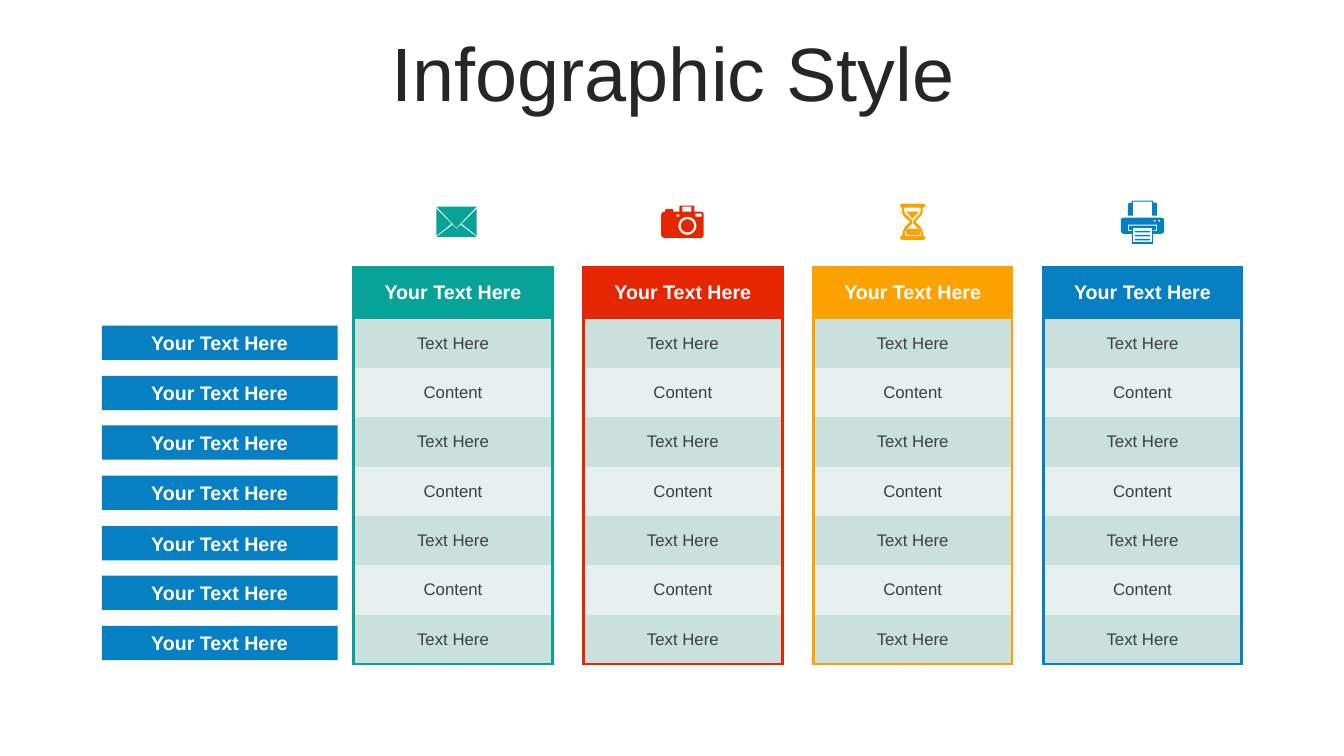
from dataclasses import dataclass

from lxml import etree
from pptx import Presentation
from pptx import util as u
from pptx.dml.color import RGBColor
from pptx.enum import shapes, text
from pptx.oxml.ns import qn

PX = 9144  # EMU per px, 100 px to the inch
NO_STYLE = "{2D5ABB26-0587-4C30-8999-92F81FD0307C}"


@dataclass(frozen=True)
class Theme:
    font: str = "Arial"
    title: str = "262626"
    body: str = "3F3F3F"
    white: str = "FFFFFF"
    teal: str = "07A398"
    red: str = "E62601"
    amber: str = "FBA200"
    blue: str = "0680C3"
    bands: tuple = ("CAE0DD", "E6F0EF")
    title_size: int = 54
    head_size: int = 14
    body_size: int = 12
    border: float = 2.25


THEME = Theme()
BAND_WORDS = ("Text Here", "Content")
BAND_COUNT = 7
HEAD_HEIGHT, BAND_HEIGHT = 51, 49
TABLE_LEFT, TABLE_TOP, TABLE_WIDTH, TABLE_PITCH = 351, 265, 197, 228
LABEL_LEFT, LABEL_TOP, LABEL_WIDTH, LABEL_HEIGHT = 101, 323, 234, 34
LABEL_SPAN = 298  # from the first label's top to the last one's


def px(value):
    return u.Emu(round(value * PX))


def rect(left, top, right, bottom):
    return [(left, top), (right, top), (right, bottom), (left, bottom)]


def circle(x, y, r):
    k = r * 0.55
    return [(x, y - r),
            (x + k, y - r, x + r, y - k, x + r, y),
            (x + r, y + k, x + k, y + r, x, y + r),
            (x - k, y + r, x - r, y + k, x - r, y),
            (x - r, y - k, x - k, y - r, x, y - r)]


# Icon contours: a pair is a corner, six numbers are a cubic curve.
ENVELOPE = [
    [(457, 223), (473, 235), (433, 235), (449, 223), (453, 227)],
    [(473, 207), (473, 234), (458, 222)],
    [(433, 207), (448, 222), (433, 234)],
    [(433, 205), (473, 205), (453, 226)],
]
CAMERA = [
    circle(682, 224, 6.5),
    circle(682, 224, 9),
    rect(671, 213, 674, 215),
    rect(690, 212, 696, 215),
    rect(677, 205, 686, 210),
    [(675, 204), (688, 204), (689, 205), (689, 210), (695, 210),
     (697, 210, 698, 211, 698, 213), (698, 233),
     (698, 235, 697, 236, 695, 236), (660, 236),
     (658, 236, 656, 235, 656, 233), (656, 213),
     (656, 211, 658, 210, 660, 210), (660, 208), (661, 207.5),
     (667, 207.5), (668, 208), (668, 210), (674, 210), (674, 205)],
]
HOURGLASS = [
    [(906, 227), (908, 227, 910, 227, 912, 228),
     (913, 230, 913, 232, 912, 233), (900, 233),
     (899, 232, 899, 230, 899, 228), (902, 227, 904, 227, 906, 227)],
    [(899, 210), (911, 210), (911, 211, 911, 212, 910, 212), (905, 217),
     (901, 212), (900, 212, 900, 211, 899, 210)],
    [(897, 206), (897, 209, 897, 212, 900, 214), (905, 219), (905, 222),
     (900, 227), (898, 229, 897, 231, 898, 234), (914, 234),
     (914, 231, 913, 229, 911, 227), (906, 222), (906, 219), (911, 214),
     (913, 212, 914, 209, 913, 206)],
    [(895, 202), (916, 202), (917, 202, 918, 203, 918, 204),
     (918, 205, 917, 206, 916, 206), (915, 206),
     (916, 210, 915, 213, 913, 215), (908, 220), (913, 225),
     (915, 227, 916, 231, 916, 234), (917, 234, 918, 235, 918, 236),
     (918, 237, 917, 238, 916, 238), (895, 238),
     (894, 238, 893, 237, 893, 236), (893, 235, 894, 234, 895, 234),
     (895, 231, 896, 228, 898, 225), (903, 220), (898, 216),
     (895, 213, 894, 210, 895, 206), (894, 206, 893, 205, 893, 204),
     (893, 203, 894, 202, 895, 202)],
]
PRINTER = [
    *[rect(1126, top, 1141, top + 1.5) for top in (229, 233, 237)],
    rect(1124, 226, 1143, 240),
    [(1119, 223), (1119, 229), (1123, 229), (1123, 228), (1120, 228),
     (1120, 224), (1147, 224), (1147, 228), (1144, 228), (1144, 229),
     (1148, 229), (1148, 223)],
    circle(1150, 219, 1),
    circle(1145.5, 219, 1),
    [(1115, 216), (1152, 216), (1153, 216, 1155, 217, 1155, 218),
     (1155, 229), (1155, 231, 1153, 232, 1152, 232), (1144, 232),
     (1144, 242), (1123, 242), (1123, 232), (1115, 232),
     (1114, 232, 1112, 231, 1112, 229), (1112, 218),
     (1112, 217, 1114, 216, 1115, 216)],
    [(1123, 199), (1144, 199), (1144, 201), (1146, 201),
     (1148, 201, 1148, 202, 1148, 204), (1148, 214), (1143, 214),
     (1143, 200), (1124, 200), (1124, 214), (1119, 214), (1119, 204),
     (1119, 202, 1120, 201, 1121, 201), (1123, 201)],
]


def write(frame, words, *, size, color, bold=False, spacing=None):
    para = frame.paragraphs[0]
    para.alignment = text.PP_ALIGN.CENTER
    para.line_spacing = spacing
    span = para.add_run()
    span.text = words
    span.font.name = THEME.font
    span.font.size = u.Pt(size)
    span.font.bold = bold
    span.font.color.rgb = RGBColor.from_string(color)


def paint(shape, color):
    shape.shadow.inherit = False
    shape.fill.solid()
    shape.fill.fore_color.rgb = RGBColor.from_string(color)
    shape.line.fill.background()


def set_title(page, words):
    title = page.shapes.title
    title.left, title.top, title.width, title.height = map(px, (35, 37, 1266, 79))
    title.text_frame.word_wrap = True
    title.text_frame.auto_size = text.MSO_AUTO_SIZE.NONE
    title.text_frame.vertical_anchor = text.MSO_ANCHOR.MIDDLE
    write(title.text_frame, words, size=THEME.title_size, color=THEME.title, spacing=0.9)


def add_label(page, top, words):
    box = page.shapes.add_shape(shapes.MSO_SHAPE.RECTANGLE, px(LABEL_LEFT), px(top),
                                px(LABEL_WIDTH), px(LABEL_HEIGHT))
    paint(box, THEME.blue)
    box.text_frame.word_wrap = True
    box.text_frame.auto_size = text.MSO_AUTO_SIZE.SHAPE_TO_FIT_TEXT
    box.text_frame.vertical_anchor = text.MSO_ANCHOR.MIDDLE
    write(box.text_frame, words, size=THEME.head_size, color=THEME.white, bold=True)


def add_borders(cell, sides, color):
    """Draw the cell's borders; sides must come in the order L, R, T, B."""
    properties = cell._tc.get_or_add_tcPr()
    for side in sides:
        line = etree.SubElement(properties, qn(f"a:ln{side}"), w=str(u.Pt(THEME.border)))
        fill = etree.SubElement(line, qn("a:solidFill"))
        etree.SubElement(fill, qn("a:srgbClr"), val=color)


def add_column(page, left, color):
    """Add a one-column table with a coloured head and frame."""
    height = HEAD_HEIGHT + BAND_COUNT * BAND_HEIGHT
    holder = page.shapes.add_table(BAND_COUNT + 1, 1, px(left), px(TABLE_TOP),
                                   px(TABLE_WIDTH), px(height))
    next(holder.element.iter(qn("a:tableStyleId"))).text = NO_STYLE
    table = holder.table
    for index, row in enumerate(table.rows):
        head = index == 0
        row.height = px(HEAD_HEIGHT if head else BAND_HEIGHT)
        band = (index - 1) % 2
        cell = table.cell(index, 0)
        add_borders(cell, "LR" + "T" * head + "B" * (index == BAND_COUNT), color)
        cell.fill.solid()
        cell.fill.fore_color.rgb = RGBColor.from_string(color if head else THEME.bands[band])
        cell.vertical_anchor = text.MSO_ANCHOR.MIDDLE
        write(cell.text_frame, "Your Text Here" if head else BAND_WORDS[band],
              size=THEME.head_size if head else THEME.body_size,
              color=THEME.white if head else THEME.body, bold=head)


def flatten(contour, steps=6):
    """Turn a contour's curves into short straight pieces, in EMU."""
    points = []
    for node in contour:
        if len(node) == 2:
            points.append(node)
            continue
        x0, y0 = points[-1]
        x1, y1, x2, y2, x3, y3 = node
        for t in (step / steps for step in range(1, steps + 1)):
            a, b, c, d = (1 - t)**3, 3 * t * (1 - t)**2, 3 * t * t * (1 - t), t**3
            points.append((a * x0 + b * x1 + c * x2 + d * x3,
                           a * y0 + b * y1 + c * y2 + d * y3))
    return [(px(x), px(y)) for x, y in points]


def add_icon(page, contours, color):
    outlines = [flatten(contour) for contour in contours]
    builder = page.shapes.build_freeform(*outlines[0][0])
    for number, (start, *rest) in enumerate(outlines):
        if number:
            builder.move_to(*start)
        builder.add_line_segments(rest, close=True)
    paint(builder.convert_to_shape(), color)


def main():
    deck = Presentation()
    deck.slide_width, deck.slide_height = u.Inches(40 / 3), u.Inches(7.5)
    page = deck.slides.add_slide(deck.slide_layouts[5])
    set_title(page, "Infographic Style")
    for index in range(BAND_COUNT):
        add_label(page, LABEL_TOP + round(index * LABEL_SPAN / (BAND_COUNT - 1)),
                  "Your Text Here")
    columns = ((THEME.teal, ENVELOPE), (THEME.red, CAMERA),
               (THEME.amber, HOURGLASS), (THEME.blue, PRINTER))
    for index, (color, icon) in enumerate(columns):
        add_column(page, TABLE_LEFT + index * TABLE_PITCH, color)
        add_icon(page, icon, color)
    deck.save("out.pptx")


if __name__ == "__main__":
    main()
